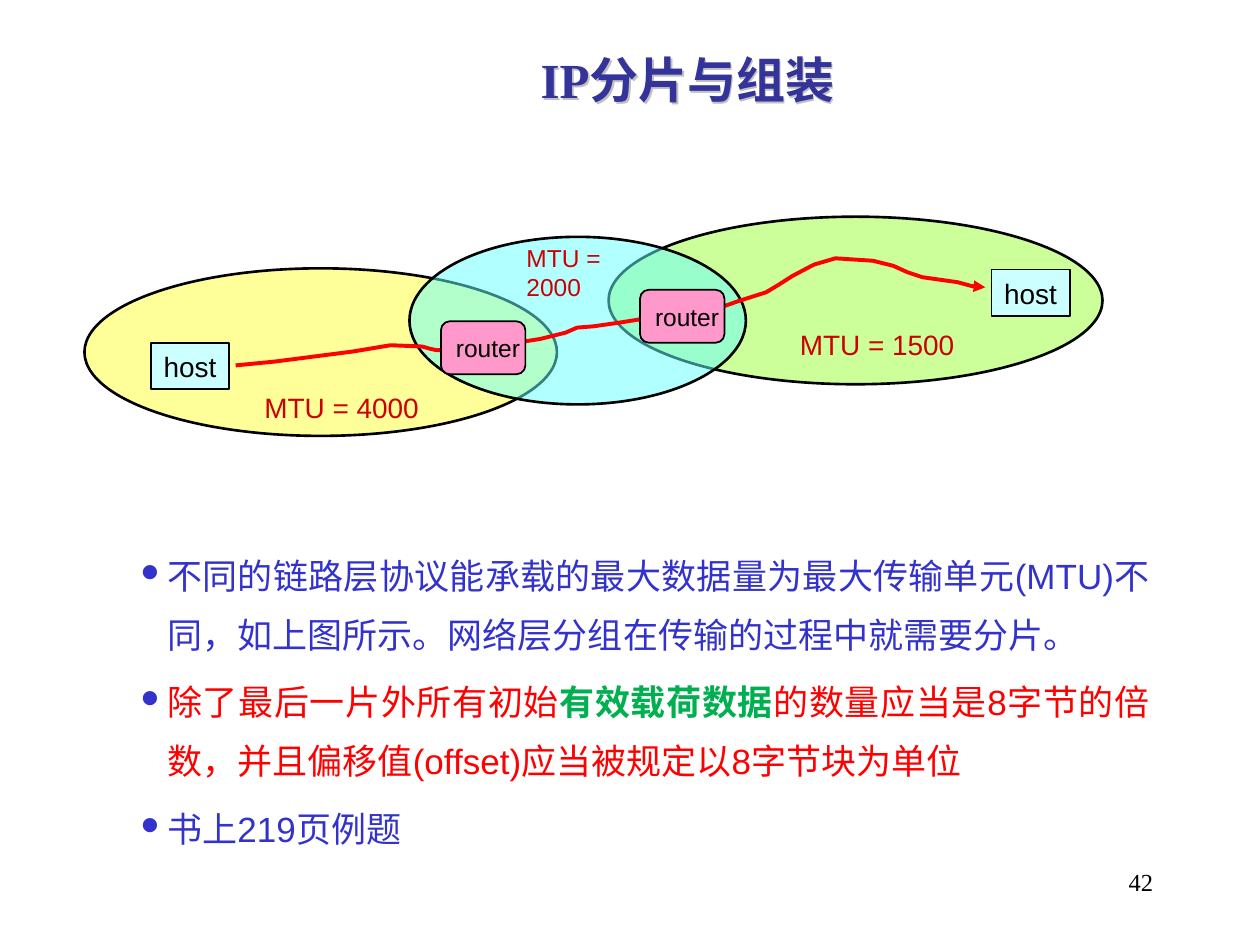
"""Build the slide on IP fragmentation and reassembly."""
from lxml.etree import SubElement
from pptx import Presentation
from pptx.dml.color import RGBColor
from pptx.enum.shapes import MSO_SHAPE
from pptx.enum.text import MSO_ANCHOR, MSO_AUTO_SIZE, PP_ALIGN
from pptx.oxml import parse_xml
from pptx.oxml.ns import nsdecls, qn
from pptx.util import Inches, Pt

BLACK = RGBColor(0, 0, 0)
NAVY = RGBColor(0x33, 0x33, 0x99)
BLUE = RGBColor(0x33, 0x33, 0xCC)
RED = RGBColor(0xFF, 0, 0)
DARK_RED = RGBColor(0xCC, 0, 0)
GREEN = RGBColor(0, 0xB0, 0x50)
YELLOW = RGBColor(0xFF, 0xFF, 0x99)
LIME = RGBColor(0xCC, 0xFF, 0x99)
CYAN = RGBColor(0x66, 0xFF, 0xFF)
PALE_CYAN = RGBColor(0xCC, 0xFF, 0xFF)
PINK = RGBColor(0xFF, 0x99, 0xCC)
SERIF, SANS = "Times New Roman", "Arial"

TITLE = "IP分片与组装"
BULLETS = [
    [("不同的链路层协议能承载的最大数据量为最大传输单元(MTU)不同，如上图所示。"
      "网络层分组在传输的过程中就需要分片。", BLUE, False)],
    [("除了最后一片外所有初始", RED, False),
     ("有效载荷数据", GREEN, True),
     ("的数量应当是8字节的倍数，并且偏移值(offset)应当被规定以8字节块为单位", RED, False)],
    [("书上219页例题", BLUE, False)],
]
NETWORKS = [
    ((0.67, 2.13, 3.75, 1.33), YELLOW, None),
    ((4.83, 1.72, 3.92, 1.33), LIME, None),
    ((3.25, 1.88, 2.67, 1.33), CYAN, 50),
]
HOSTS = [(1.2, 2.72), (7.87, 2.14)]
ROUTERS = [(3.5, 2.55), (5.08, 2.3)]
MTU_LABELS = [
    ("MTU = 4000", (2, 3.05, 1.45, 0.37), 16, False),
    ("MTU = 1500", (6.25, 2.55, 1.45, 0.37), 16, False),
    ("MTU = 2000", (4.08, 1.88, 0.83, 0.57), 14, True),
]
ROUTE = [
    (1.87, 2.9), (2.18, 2.87), (2.49, 2.83), (2.8, 2.79), (3.1, 2.74), (3.35, 2.75),
    (3.42, 2.77), (3.47, 2.78), (3.97, 2.74), (4.29, 2.69), (4.49, 2.64), (4.58, 2.6),
    (4.71, 2.59), (4.92, 2.56), (5.17, 2.52), (5.42, 2.53), (5.69, 2.45), (5.86, 2.39),
    (6.08, 2.32), (6.18, 2.26), (6.29, 2.19), (6.46, 2.1), (6.63, 2.05), (6.93, 2.07),
    (7.09, 2.11), (7.2, 2.16), (7.32, 2.2), (7.6, 2.24), (7.71, 2.27), (7.82, 2.28),
]


def inches(values):
    return [Inches(v) for v in values]


def add_run(p, text, size, color, name=SANS, bold=False):
    r = p.add_run()
    r.text = text
    r.font.color.rgb = color
    for key, value in dict(size=Pt(size), name=name, bold=bold).items():
        setattr(r.font, key, value)


def add_label(s, text, box, size, color, name=SANS, wrap=True, align=PP_ALIGN.LEFT):
    tf = s.shapes.add_textbox(*inches(box)).text_frame
    tf.word_wrap = wrap
    tf.auto_size = MSO_AUTO_SIZE.SHAPE_TO_FIT_TEXT
    tf.paragraphs[0].alignment = align
    add_run(tf.paragraphs[0], text, size, color, name)


def add_figure(s, kind, box, color, width, text=None, size=None):
    sp = s.shapes.add_shape(kind, *inches(box))
    sp.shadow.inherit = False
    sp.fill.solid()
    sp.fill.fore_color.rgb = color
    sp.line.color.rgb = BLACK
    sp.line.width = Pt(width)
    if text:
        tf = sp.text_frame
        tf.word_wrap = False
        tf.vertical_anchor = MSO_ANCHOR.MIDDLE
        tf.paragraphs[0].alignment = PP_ALIGN.LEFT
        add_run(tf.paragraphs[0], text, size, BLACK)
    return sp


def add_title(s):
    sp = s.shapes.title
    sp.left, sp.top, sp.width, sp.height = inches((1.58, 0.25, 7.75, 0.75))
    tf = sp.text_frame
    tf.vertical_anchor = MSO_ANCHOR.MIDDLE
    p = tf.paragraphs[0]
    p.alignment = PP_ALIGN.CENTER
    add_run(p, TITLE, 28, NAVY, SERIF, True)
    sp.fill.background()
    sp._element.spPr.append(parse_xml(
        f'<a:effectLst {nsdecls("a")}><a:outerShdw dist="17961" dir="2700000">'
        '<a:srgbClr val="C0C0C0"/></a:outerShdw></a:effectLst>'))


def add_bullets(s):
    tf = s.shapes.add_textbox(*inches((1.02, 4.22, 8.2, 3.67))).text_frame
    tf.word_wrap = True
    for i, runs in enumerate(BULLETS):
        p = tf.add_paragraph() if i else tf.paragraphs[0]
        pPr = p._p.get_or_add_pPr()
        pPr.set("marL", str(Inches(0.21)))
        pPr.set("indent", str(Inches(-0.21)))
        SubElement(SubElement(pPr, qn("a:buClr")), qn("a:srgbClr")).set("val", str(BLUE))
        SubElement(pPr, qn("a:buSzPct")).set("val", "70000")
        SubElement(pPr, qn("a:buFont")).set("typeface", "Wingdings")
        SubElement(pPr, qn("a:buChar")).set("char", "l")
        fmt = dict(alignment=PP_ALIGN.JUSTIFY, line_spacing=1.4, space_before=Pt(5 if i else 0))
        for key, value in fmt.items():
            setattr(p, key, value)
        for text, color, bold in runs:
            add_run(p, text, 20, color, bold=bold)


def add_route(s):
    start, *rest = [tuple(inches(point)) for point in ROUTE]
    builder = s.shapes.build_freeform(*start)
    builder.add_line_segments(rest, close=False)
    sp = builder.convert_to_shape()
    sp.shadow.inherit = False
    sp.fill.background()
    sp.line.color.rgb = RED
    sp.line.width = Pt(2.25)
    ln = sp.line._get_or_add_ln()
    SubElement(ln, qn("a:round"))
    SubElement(ln, qn("a:tailEnd")).set("type", "triangle")


def main():
    prs = Presentation()
    prs.slide_width, prs.slide_height = Inches(10), Inches(7.5)
    s = prs.slides.add_slide(prs.slide_layouts[5])
    add_title(s)
    add_bullets(s)
    add_label(s, "42", (7.17, 6.83, 2.08, 0.5), 14, BLACK, SERIF, align=PP_ALIGN.RIGHT)
    for box, color, opacity in NETWORKS:
        sp = add_figure(s, MSO_SHAPE.OVAL, box, color, 1.5)
        if opacity:
            clr = sp.fill._xPr.find(qn("a:solidFill"))[0]
            SubElement(clr, qn("a:alpha")).set("val", str(opacity * 1000))
    for x, y in HOSTS:
        add_figure(s, MSO_SHAPE.RECTANGLE, (x, y, 0.62, 0.37), PALE_CYAN, 1, "host", 16)
    add_route(s)
    for x, y in ROUTERS:
        add_figure(s, MSO_SHAPE.ROUNDED_RECTANGLE, (x, y, 0.67, 0.42), PINK, 1, "router", 14)
    for text, box, size, wrap in MTU_LABELS:
        add_label(s, text, box, size, DARK_RED, wrap=wrap)
    prs.save("out.pptx")


if __name__ == "__main__":
    main()
